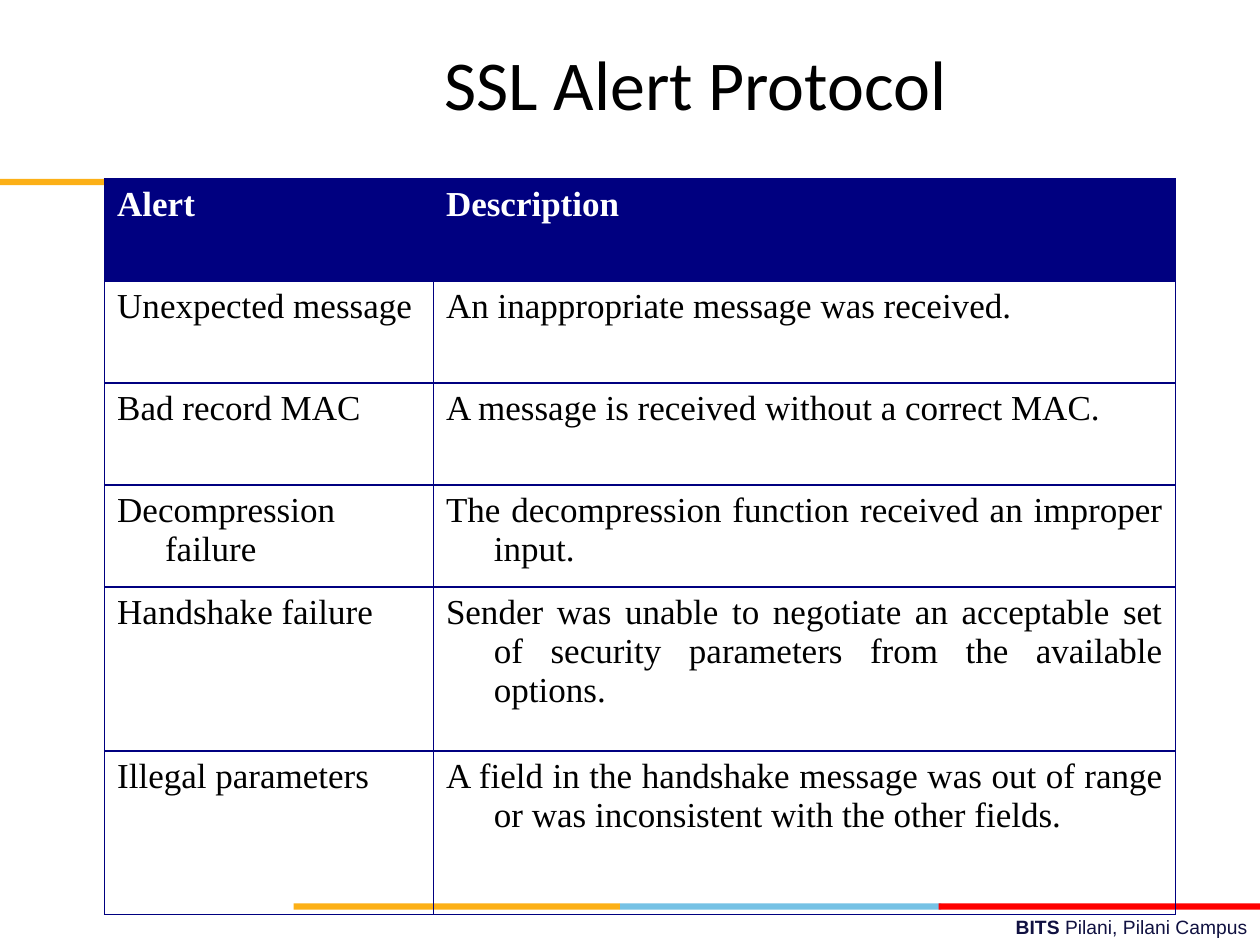
"""Build the SSL Alert Protocol slide with its table of alerts."""
import pptx
import pptx.dml.color
import pptx.enum.shapes
import pptx.enum.text
import pptx.oxml
import pptx.oxml.ns
import pptx.util

Inches = pptx.util.Inches
Pt = pptx.util.Pt
ALIGN = pptx.enum.text.PP_ALIGN

COLORS = {
    "navy": "000080",
    "black": "000000",
    "white": "FFFFFF",
    "footer": "101141",
    "orange": "FCB017",
    "blue": "76C2E5",
    "red": "FF0000",
}
BARS = [
    (0, 1.42, 2.58, "orange"),
    (4.92, 7.17, 2.55, "blue"),
    (2.33, 7.17, 2.59, "orange"),
    (7.45, 7.17, 2.55, "red"),
]
COL_WIDTHS = [2.61, 5.89]
ROW_HEIGHTS = [0.81] * 4 + [1.3] * 2
ROWS = [
    ("Alert", "Description"),
    ("Unexpected message", "An inappropriate message was received."),
    ("Bad record MAC", "A message is received without a correct MAC."),
    ("Decompression failure",
     "The decompression function received an improper input."),
    ("Handshake failure",
     "Sender was unable to negotiate an acceptable set of security "
     "parameters from the available options."),
    ("Illegal parameters",
     "A field in the handshake message was out of range or was "
     "inconsistent with the other fields."),
]


def rgb(name):
    return pptx.dml.color.RGBColor.from_string(COLORS[name])


def add_run(p, text, size, font, color, bold=False):
    r = p.add_run()
    r.text = text
    r.font.size = Pt(size)
    r.font.name = font
    r.font.bold = bold
    r.font.color.rgb = rgb(color)


def add_text(s, left, top, width, height, align):
    tf = s.shapes.add_textbox(
        Inches(left), Inches(top), Inches(width), Inches(height)).text_frame
    tf.word_wrap = True
    tf.vertical_anchor = pptx.enum.text.MSO_ANCHOR.MIDDLE
    p = tf.paragraphs[0]
    p.alignment = align
    return p


def add_bar(s, left, top, width, color):
    sp = s.shapes.add_shape(
        pptx.enum.shapes.MSO_SHAPE.RECTANGLE,
        Inches(left), Inches(top), Inches(width), Inches(0.05))
    sp.shadow.inherit = False
    sp.fill.solid()
    sp.fill.fore_color.rgb = rgb(color)
    sp.line.fill.background()


def set_borders(cell, color):
    tc_pr = cell._tc.get_or_add_tcPr()
    for side in ("lnL", "lnR", "lnT", "lnB"):
        tc_pr.append(pptx.oxml.parse_xml(
            f'<a:{side} {pptx.oxml.ns.nsdecls("a")} w="{Pt(1)}">'
            f'<a:solidFill><a:srgbClr val="{COLORS[color]}"/></a:solidFill>'
            f'</a:{side}>'))


def fill_cell(cell, text, header):
    set_borders(cell, "navy")
    if header:
        cell.fill.solid()
        cell.fill.fore_color.rgb = rgb("navy")
    else:
        cell.fill.background()
    p = cell.text_frame.paragraphs[0]
    p.alignment = ALIGN.JUSTIFY
    p_pr = p._p.get_or_add_pPr()
    p_pr.set("marL", str(Inches(0.38)))
    p_pr.set("indent", str(Inches(-0.38)))
    add_run(p, text, 20, "Times New Roman",
            "white" if header else "black", header)


def add_alert_table(s):
    table = s.shapes.add_table(
        len(ROWS), len(COL_WIDTHS), Inches(0.83), Inches(1.42),
        Inches(sum(COL_WIDTHS)), Inches(sum(ROW_HEIGHTS))).table
    table.horz_banding = False
    for col, width in zip(table.columns, COL_WIDTHS):
        col.width = Inches(width)
    for i, (row, height) in enumerate(zip(table.rows, ROW_HEIGHTS)):
        row.height = Inches(height)
        for cell, text in zip(row.cells, ROWS[i]):
            fill_cell(cell, text, i == 0)


def main():
    prs = pptx.Presentation()
    prs.slide_width = Inches(10)
    prs.slide_height = Inches(7.5)
    s = prs.slides.add_slide(prs.slide_layouts[6])
    footer = add_text(s, 3.58, 7.21, 6.42, 0.29, ALIGN.RIGHT)
    add_run(footer, "BITS ", 11, "Arial", "footer", True)
    add_run(footer, "Pilani, Pilani Campus", 11, "Arial", "footer")
    for bar in BARS:
        add_bar(s, *bar)
    title = add_text(s, 1.26, 0.23, 8.52, 0.85, ALIGN.CENTER)
    add_run(title, "SSL Alert Protocol", 40, "Calibri", "black")
    add_alert_table(s)
    prs.save("out.pptx")


if __name__ == "__main__":
    main()
